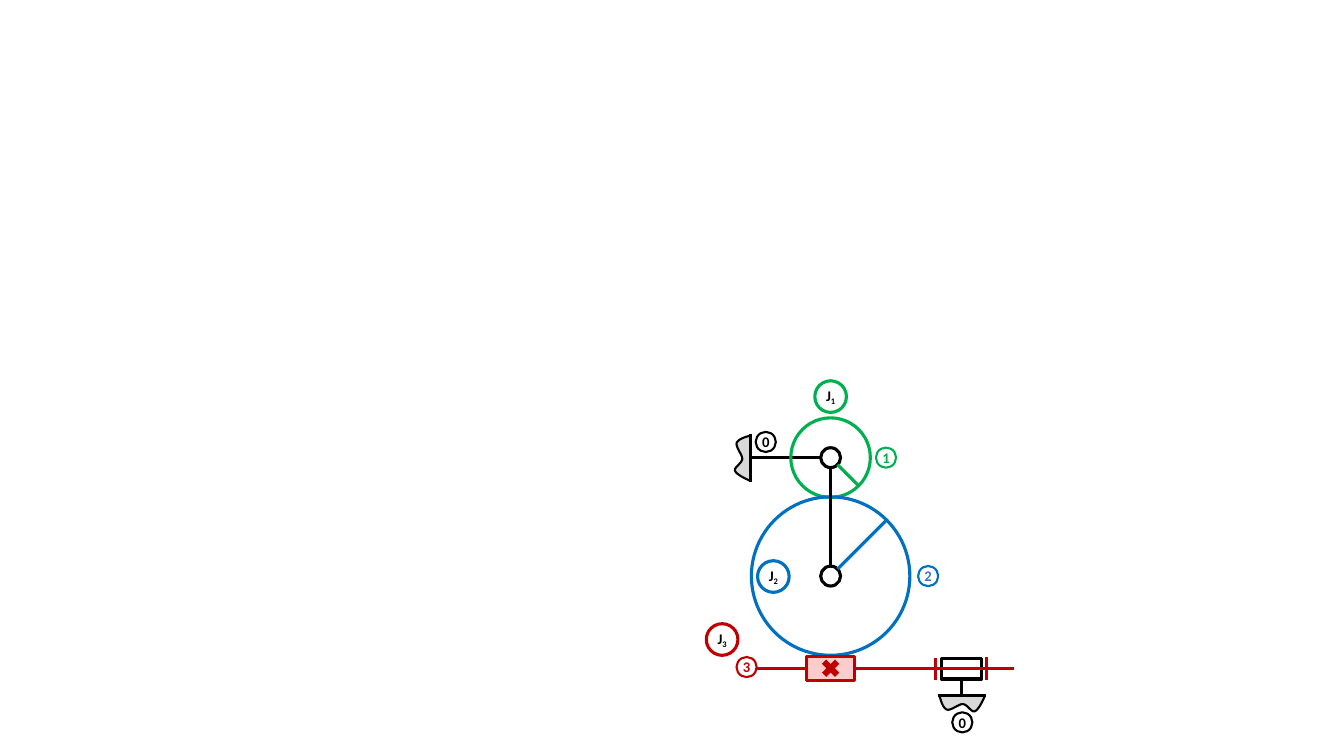
import pptx
import pptx.dml.color
import pptx.enum.shapes
import pptx.enum.text
import pptx.oxml.ns
import pptx.util
from lxml import etree

Pt = pptx.util.Pt
RGBColor = pptx.dml.color.RGBColor
SHAPE = pptx.enum.shapes.MSO_SHAPE

BLACK = RGBColor(0x00, 0x00, 0x00)
WHITE = RGBColor(0xFF, 0xFF, 0xFF)
GREY = RGBColor(0xD9, 0xD9, 0xD9)
GREEN = RGBColor(0x00, 0xB0, 0x50)
BLUE = RGBColor(0x00, 0x70, 0xC0)
LABEL_BLUE = RGBColor(0x44, 0x72, 0xC4)
RED = RGBColor(0xC0, 0x00, 0x00)
PINK = RGBColor(0xFF, 0xCC, 0xCC)

THICK, THIN = 2.25, 1.5
AXIS_X, PINION_Y, WHEEL_Y, RACK_Y = 593.3, 326.9, 411.5, 477.3
PINION_RADIUS, WHEEL_RADIUS, PIVOT_RADIUS = 28.4, 56.6, 7.1
LABEL_SIZE, INERTIA_SIZE = 14.4, 22.6

presentation = pptx.Presentation()
presentation.slide_width = Pt(960)
presentation.slide_height = Pt(540)
slide = presentation.slides.add_slide(presentation.slide_layouts[6])


def add_centred(kind, x, y, width, height, color, weight=THICK, fill=None):
    """Add a preset shape centred on (x, y); a weight of 0 leaves it without outline."""
    shape = slide.shapes.add_shape(
        kind, Pt(x - width / 2), Pt(y - height / 2), Pt(width), Pt(height))
    shape.shadow.inherit = False
    if fill is None:
        shape.fill.background()
    else:
        shape.fill.solid()
        shape.fill.fore_color.rgb = fill
    if weight:
        shape.line.color.rgb = color
        shape.line.width = Pt(weight)
    else:
        shape.line.fill.background()
    return shape


def add_line(x1, y1, x2, y2, color):
    connector = slide.shapes.add_connector(
        pptx.enum.shapes.MSO_CONNECTOR.STRAIGHT, Pt(x1), Pt(y1), Pt(x2), Pt(y2))
    connector.line.color.rgb = color
    connector.line.width = Pt(THICK)
    etree.SubElement(connector._element.spPr, pptx.oxml.ns.qn("a:effectLst"))
    return connector


# Fixed supports: (distance along the wall, depth behind it) of the Bezier points
SUPPORT_CURVE = [
    (1.4, 0.5), (2.7, 4.8), (3.7, 8.4), (6.4, 9.9), (9.2, 11.2), (15, 5.8), (18, 6),
    (21.5, 6.4), (23.9, 12), (26.4, 11.2), (28.9, 10.3), (31.5, 5.2), (33.8, 0)]
WALL_LENGTH = 34.2
CURVE_STEPS = 10

support_points = [SUPPORT_CURVE[0]]
for first in range(0, len(SUPPORT_CURVE) - 1, 3):
    controls = SUPPORT_CURVE[first:first + 4]
    for step in range(1, CURVE_STEPS + 1):
        t = step / CURVE_STEPS
        weights = [(1 - t) ** 3, 3 * t * (1 - t) ** 2, 3 * t ** 2 * (1 - t), t ** 3]
        support_points.append(tuple(
            sum(weight * point[axis] for weight, point in zip(weights, controls))
            for axis in (0, 1)))

for wall_x, wall_y, vertical in [(536.2, 309.8, True), (669.8, 496.9, False)]:
    if vertical:
        outline = [(Pt(wall_x - depth), Pt(wall_y + along)) for along, depth in support_points]
        wall_end = (wall_x, wall_y + WALL_LENGTH)
    else:
        outline = [(Pt(wall_x + along), Pt(wall_y + depth)) for along, depth in support_points]
        wall_end = (wall_x + WALL_LENGTH, wall_y)
    builder = slide.shapes.build_freeform(*outline[0])
    builder.add_line_segments(outline[1:], close=False)
    ground = builder.convert_to_shape()
    ground.shadow.inherit = False
    ground.fill.solid()
    ground.fill.fore_color.rgb = GREY
    ground.line.color.rgb = BLACK
    ground.line.width = Pt(THIN)
    add_line(wall_x, wall_y, *wall_end, BLACK)

# Gears, pivots and frame
add_line(AXIS_X - PIVOT_RADIUS, PINION_Y, 536.2, PINION_Y, BLACK)
for center_y, radius, color in [
        (PINION_Y, PINION_RADIUS, GREEN), (PINION_Y, PIVOT_RADIUS, BLACK),
        (WHEEL_Y, WHEEL_RADIUS, BLUE), (WHEEL_Y, PIVOT_RADIUS, BLACK)]:
    add_centred(SHAPE.OVAL, AXIS_X, center_y, 2 * radius, 2 * radius, color)
add_line(598.3, 406.5, 633.3, 371.5, BLUE)
add_line(598.3, 331.9, 613.4, 347, GREEN)
add_line(AXIS_X, PINION_Y + PIVOT_RADIUS, AXIS_X, WHEEL_Y - PIVOT_RADIUS, BLACK)

# Rack with its guide
guide = add_centred(SHAPE.RECTANGLE, 686.8, 477.9, 28.6, 14.4, BLACK, fill=WHITE)
guide_stem = add_line(686.8, 485.1, 686.8, 496.9, BLACK)
guide_stem.begin_connect(guide, 2)
rack_block = add_centred(SHAPE.RECTANGLE, AXIS_X, RACK_Y, 34.2, 17.3, RED, fill=PINK)
add_centred(SHAPE.MATH_MULTIPLY, AXIS_X, RACK_Y, 18, 18, RED, weight=0, fill=RED)
rack_left = add_line(540.2, RACK_Y, 576.2, RACK_Y, RED)
rack_left.end_connect(rack_block, 1)
rack_right = add_line(610.4, RACK_Y, 724.3, RACK_Y, RED)
rack_right.begin_connect(rack_block, 3)
for stop_x, stop_top in [(668.2, 470.1), (704.9, 469.5)]:
    add_line(stop_x, stop_top, stop_x, stop_top + 15.9, RED)

# Circled labels: text, subscript, centre, outline colour, text colour
LABELS = [
    ("0", "", 547, 315.7, BLACK, BLACK),
    ("1", "", 632.9, 326.9, GREEN, GREEN),
    ("2", "", 663, 411.5, BLUE, LABEL_BLUE),
    ("3", "", 533.3, 476.5, RED, RED),
    ("0", "", 687.4, 516, BLACK, BLACK),
    ("J", "1", AXIS_X, 283.3, GREEN, BLACK),
    ("J", "2", 552.4, 411.8, BLUE, BLACK),
    ("J", "3", 515.8, 456.8, RED, BLACK),
]
for text, subscript, x, y, outline_color, text_color in LABELS:
    size, weight = (INERTIA_SIZE, THICK) if subscript else (LABEL_SIZE, THIN)
    label = add_centred(SHAPE.OVAL, x, y, size, size, outline_color, weight)
    frame = label.text_frame
    frame.margin_left = frame.margin_right = frame.margin_top = frame.margin_bottom = 0
    frame.word_wrap = False
    frame.vertical_anchor = pptx.enum.text.MSO_ANCHOR.MIDDLE
    paragraph = frame.paragraphs[0]
    paragraph.alignment = pptx.enum.text.PP_ALIGN.CENTER
    for run_text in filter(None, (text, subscript)):
        run = paragraph.add_run()
        run.text = run_text
        run.font.name = "Calibri"
        run.font.size = Pt(10.5)
        run.font.bold = True
        run.font.color.rgb = text_color
    if subscript:
        run.font._element.set("baseline", "-25000")

presentation.save("out.pptx")
